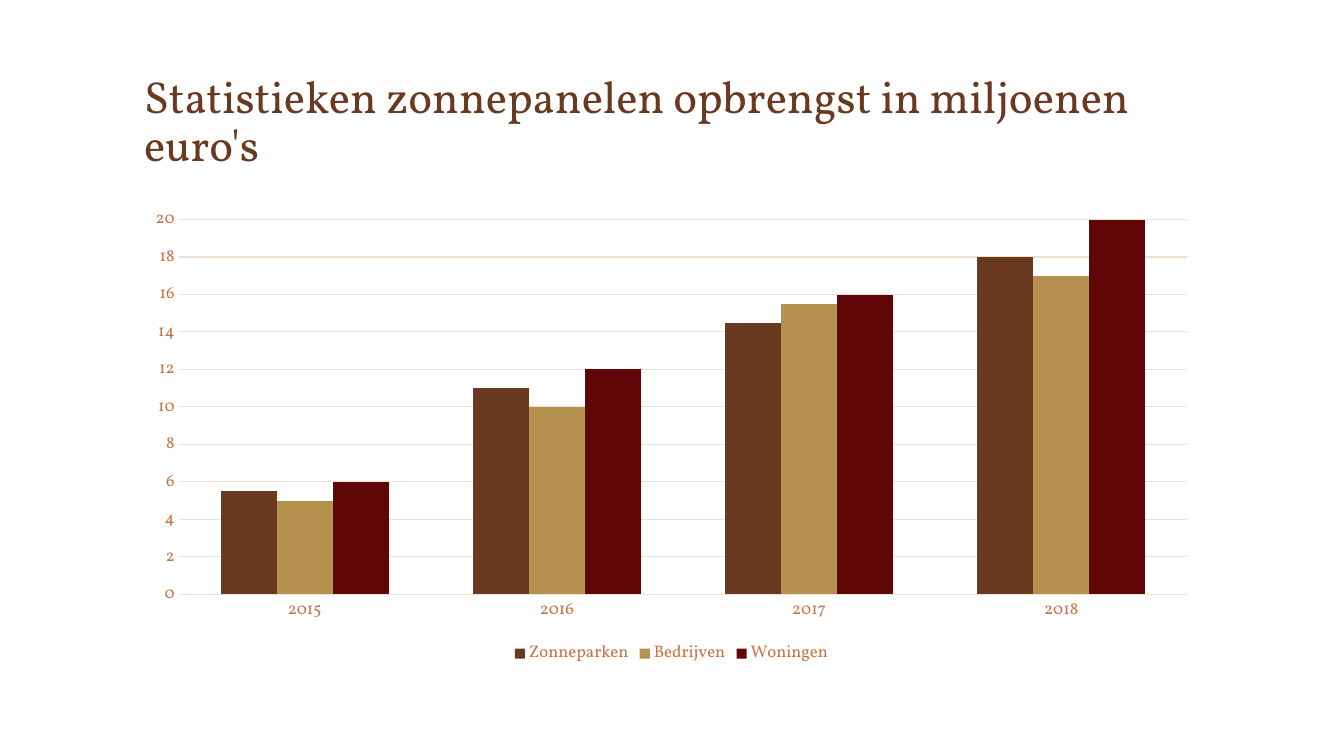
import pptx
import pptx.chart.data
import pptx.dml.color
import pptx.enum.chart
import pptx.enum.text
import pptx.util
from dataclasses import dataclass

Inches = pptx.util.Inches
Pt = pptx.util.Pt


@dataclass(frozen=True)
class Theme:
    face: str = "Vollkorn"
    back: str = "FFFFFF"
    head: str = "6A3A20"
    label: str = "C77345"
    grid: str = "F2DFD4"
    bars: tuple = ("6A3A20", "B4914C", "610606")
    head_size: int = 32
    label_size: int = 12
    rule: float = 0.75


def rgb(code):
    return pptx.dml.color.RGBColor.from_string(code)


class Page:
    def __init__(self, deck, theme):
        self.theme = theme
        self.slide = deck.slides.add_slide(deck.slide_layouts[5])
        fill = self.slide.background.fill
        fill.solid()
        fill.fore_color.rgb = rgb(theme.back)

    def style(self, font, size, color):
        font.name = self.theme.face
        font.size = Pt(size)
        font.bold = False
        font.color.rgb = rgb(color)

    def rule(self, line):
        line.color.rgb = rgb(self.theme.grid)
        line.width = Pt(self.theme.rule)

    def title(self, text, left, top, width, height):
        shape = self.slide.shapes.title
        shape.left, shape.top = Inches(left), Inches(top)
        shape.width, shape.height = Inches(width), Inches(height)
        frame = shape.text_frame
        frame.text = text
        frame.word_wrap = True
        frame.auto_size = pptx.enum.text.MSO_AUTO_SIZE.NONE
        frame.vertical_anchor = pptx.enum.text.MSO_ANCHOR.BOTTOM
        para = frame.paragraphs[0]
        para.alignment = pptx.enum.text.PP_ALIGN.LEFT
        para.line_spacing = 0.9
        self.style(para.font, self.theme.head_size, self.theme.head)

    def axis(self, axis):
        axis.major_tick_mark = pptx.enum.chart.XL_TICK_MARK.NONE
        axis.minor_tick_mark = pptx.enum.chart.XL_TICK_MARK.NONE
        self.style(axis.tick_labels.font, self.theme.label_size, self.theme.label)

    def columns(self, years, yields, left, top, width, height):
        data = pptx.chart.data.CategoryChartData()
        data.categories = years
        for name, values in yields.items():
            data.add_series(name, values)
        chart = self.slide.shapes.add_chart(
            pptx.enum.chart.XL_CHART_TYPE.COLUMN_CLUSTERED,
            Inches(left), Inches(top), Inches(width), Inches(height), data,
        ).chart
        self.style(chart.font, self.theme.label_size, self.theme.label)
        chart.has_title = False

        plot = chart.plots[0]
        plot.vary_by_categories = False
        plot.gap_width = 150
        plot.overlap = 0
        for series, color in zip(plot.series, self.theme.bars):
            series.format.fill.solid()
            series.format.fill.fore_color.rgb = rgb(color)

        self.axis(chart.category_axis)
        self.rule(chart.category_axis.format.line)
        scale = chart.value_axis
        self.axis(scale)
        scale.format.line.fill.background()
        scale.minimum_scale = 0
        scale.maximum_scale = 20
        scale.major_unit = 2
        scale.has_major_gridlines = True
        self.rule(scale.major_gridlines.format.line)

        chart.has_legend = True
        legend = chart.legend
        legend.position = pptx.enum.chart.XL_LEGEND_POSITION.BOTTOM
        legend.include_in_layout = False
        self.style(legend.font, self.theme.label_size, self.theme.label)


def main():
    deck = pptx.Presentation()
    deck.slide_width = Inches(13.33)
    deck.slide_height = Inches(7.5)
    page = Page(deck, Theme())
    page.title("Statistieken zonnepanelen opbrengst in miljoenen euro's",
               1.33, 0.47, 11.08, 1.28)
    yields = {
        "Zonneparken": (5.5, 11, 14.5, 18),
        "Bedrijven": (5, 10, 15.5, 17),
        "Woningen": (6, 12, 16, 20),
    }
    page.columns(("2015", "2016", "2017", "2018"), yields,
                 1.33, 1.97, 10.66, 4.67)
    deck.save("out.pptx")


if __name__ == "__main__":
    main()
